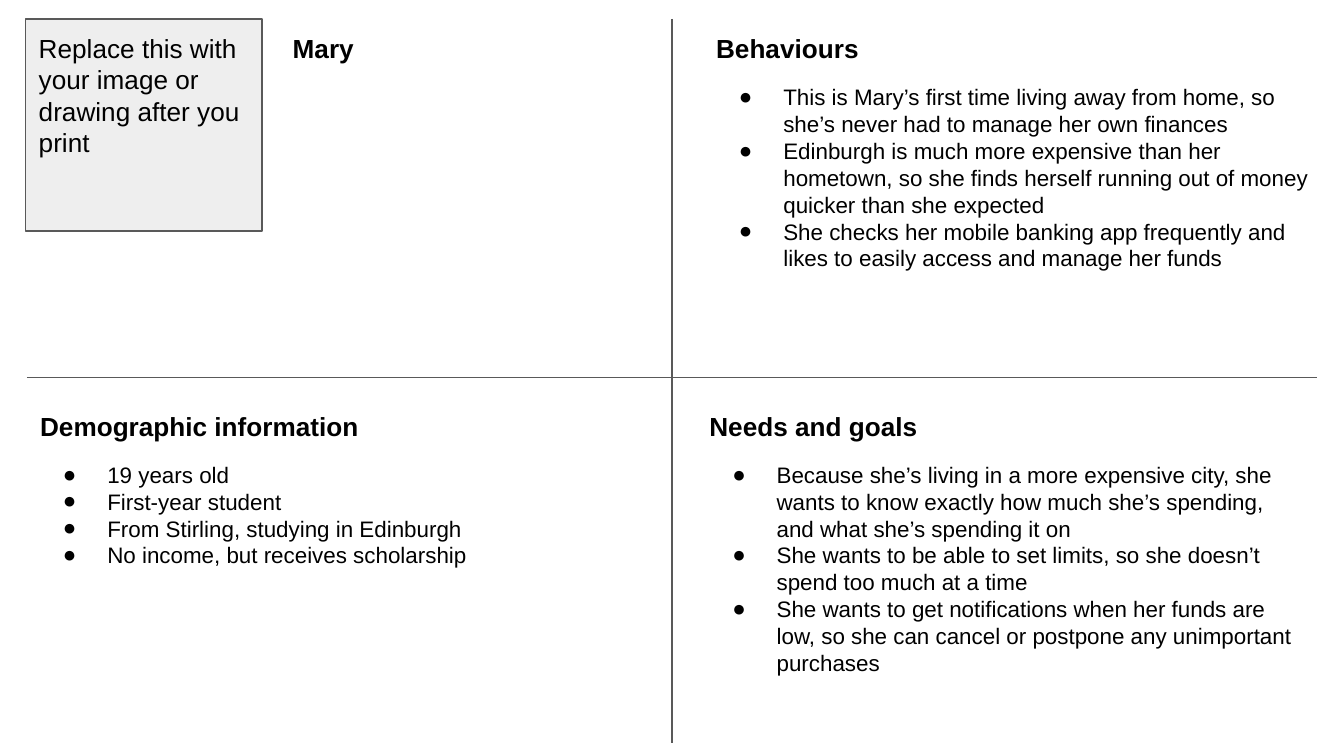
import pptx
import pptx.util
import pptx.dml.color
import pptx.enum.shapes
import pptx.enum.text
import lxml.etree
from pptx.util import Inches

INK, RULE, PANEL = "000000", "595959", "EEEEEE"
PORTRAIT_HINT = "Replace this with your image or drawing after you print"
QUADRANTS = [
    ("Mary", 2.08, 0.14, []),
    ("Demographic information", 0.2, 2.95, [
        "19 years old",
        "First-year student",
        "From Stirling, studying in Edinburgh",
        "No income, but receives scholarship",
    ]),
    ("Needs and goals", 5.18, 2.95, [
        "Because she’s living in a more expensive city, she wants to know exactly "
        "how much she’s spending, and what she’s spending it on",
        "She wants to be able to set limits, so she doesn’t spend too much at a time",
        "She wants to get notifications when her funds are low, so she can cancel "
        "or postpone any unimportant purchases",
    ]),
    ("Behaviours", 5.23, 0.14, [
        "This is Mary’s first time living away from home, so she’s never had to "
        "manage her own finances",
        "Edinburgh is much more expensive than her hometown, so she finds herself "
        "running out of money quicker than she expected",
        "She checks her mobile banking app frequently and likes to easily access "
        "and manage her funds",
    ]),
]
DIVIDERS = [(0.2, 2.81, 9.8, 2.81), (5, 0.14, 5, 5.53)]
FRAME = {
    "word_wrap": True,
    "auto_size": pptx.enum.text.MSO_AUTO_SIZE.NONE,
    "vertical_anchor": pptx.enum.text.MSO_ANCHOR.TOP,
    **{f"margin_{side}": Inches(0.1) for side in ("left", "right", "top", "bottom")},
}
HINT = {"name": "Arial", "size": pptx.util.Pt(14), "bold": False}
HEADING = {**HINT, "bold": True}
POINT = {**HINT, "size": pptx.util.Pt(12)}


def colour(value):
    return pptx.dml.color.RGBColor.from_string(value)


def apply(target, values):
    for key, value in values.items():
        setattr(target, key, value)


def draw_line(line):
    line.color.rgb = colour(RULE)
    line.width = pptx.util.Pt(0.75)


def add_bullet(paragraph):
    props = paragraph._p.get_or_add_pPr()
    props.set("marL", str(Inches(0.5)))
    props.set("indent", str(Inches(-0.33)))
    bullet_colour = lxml.etree.SubElement(props, pptx.oxml.ns.qn("a:buClr"))
    lxml.etree.SubElement(bullet_colour, pptx.oxml.ns.qn("a:srgbClr"), val=INK)
    lxml.etree.SubElement(props, pptx.oxml.ns.qn("a:buFont"), typeface="Arial")
    lxml.etree.SubElement(props, pptx.oxml.ns.qn("a:buChar"), char="●")


def write(frame, texts, font, bulleted=False):
    apply(frame, FRAME)
    for index, text in enumerate(texts):
        paragraph = frame.add_paragraph() if index else frame.paragraphs[0]
        paragraph.alignment = pptx.enum.text.PP_ALIGN.LEFT
        paragraph.line_spacing = 1.0
        run = paragraph.add_run()
        run.text = text
        apply(run.font, font)
        run.font.color.rgb = colour(INK)
        if bulleted:
            add_bullet(paragraph)


deck = pptx.Presentation()
apply(deck, {"slide_width": Inches(10), "slide_height": Inches(10) * 9 // 16})
slide = deck.slides.add_slide(deck.slide_layouts[6])

portrait = slide.shapes.add_shape(
    pptx.enum.shapes.MSO_SHAPE.RECTANGLE, *map(Inches, (0.19, 0.14, 1.76, 1.58)))
portrait.shadow.inherit = False
portrait.fill.solid()
portrait.fill.fore_color.rgb = colour(PANEL)
draw_line(portrait.line)
write(portrait.text_frame, [PORTRAIT_HINT], HINT)

for ends in DIVIDERS:
    divider = slide.shapes.add_connector(
        pptx.enum.shapes.MSO_CONNECTOR.STRAIGHT, *map(Inches, ends))
    draw_line(divider.line)
    lxml.etree.SubElement(divider._element.spPr, pptx.oxml.ns.qn("a:effectLst"))

for title, left, top, points in QUADRANTS:
    heading = slide.shapes.add_textbox(*map(Inches, (left, top, 2.8, 0.35)))
    write(heading.text_frame, [title], HEADING)
    if points:
        details = slide.shapes.add_textbox(*map(Inches, (left, top + 0.38, 4.61, 2.13)))
        write(details.text_frame, points, POINT, bulleted=True)

deck.save("out.pptx")
